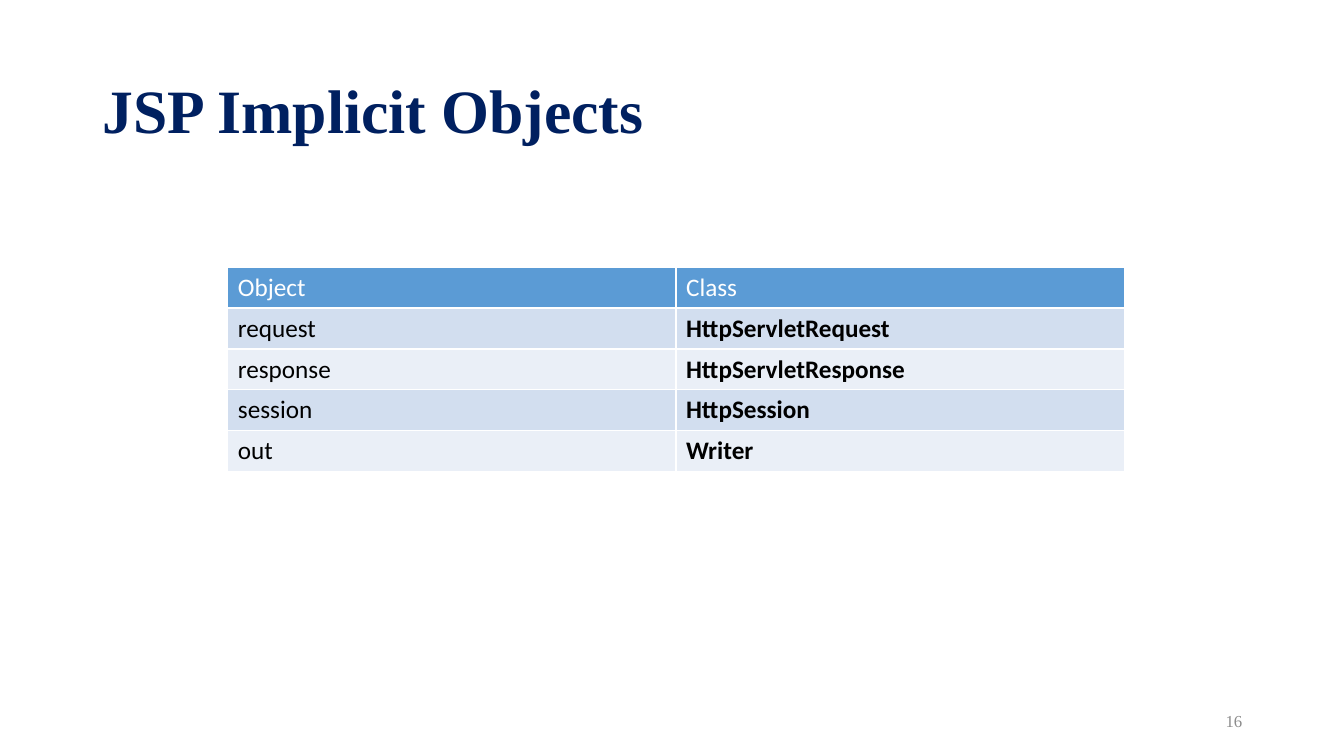
"""Build the JSP implicit objects slide."""
from pptx import Presentation
from pptx.dml.color import RGBColor
from pptx.enum.text import MSO_ANCHOR, PP_ALIGN
from pptx.util import Inches, Pt

SERIF = "Times New Roman"
ROWS = [
    ("Object", "Class"),
    ("request", "HttpServletRequest"),
    ("response", "HttpServletResponse"),
    ("session", "HttpSession"),
    ("out", "Writer"),
]


def style_font(font, name, size, color, bold=False):
    """Set the typeface, size, colour and weight of a font."""
    font.name = name
    font.size = Pt(size)
    font.bold = bold
    font.color.rgb = RGBColor.from_string(color)


def fill_title(slide, left, top, width, height):
    """Place and format the title placeholder."""
    title = slide.shapes.title
    title.left, title.top = Inches(left), Inches(top)
    title.width, title.height = Inches(width), Inches(height)
    frame = title.text_frame
    frame.text = "JSP Implicit Objects"
    frame.vertical_anchor = MSO_ANCHOR.MIDDLE
    paragraph = frame.paragraphs[0]
    paragraph.alignment = PP_ALIGN.LEFT
    paragraph.line_spacing = 0.9
    style_font(paragraph.font, SERIF, 44, "002060", True)


def add_object_table(slide, left, top, width, height):
    """Add the table that pairs each implicit object with its class."""
    table = slide.shapes.add_table(
        len(ROWS), len(ROWS[0]),
        Inches(left), Inches(top), Inches(width), Inches(height),
    ).table
    for row_index, row in enumerate(ROWS):
        is_header = row_index == 0
        band = "D2DEEF" if row_index % 2 else "EAEFF7"
        for column_index, text in enumerate(row):
            cell = table.cell(row_index, column_index)
            cell.text = text
            cell.fill.solid()
            cell.fill.fore_color.rgb = RGBColor.from_string("5B9BD5" if is_header else band)
            style_font(
                cell.text_frame.paragraphs[0].font, "Calibri", 18,
                "FFFFFF" if is_header else "000000",
                column_index == 1 and not is_header,
            )


def add_slide_number(slide, left, top, width, height):
    """Add the right-aligned slide number."""
    box = slide.shapes.add_textbox(Inches(left), Inches(top), Inches(width), Inches(height))
    frame = box.text_frame
    frame.word_wrap = True
    frame.vertical_anchor = MSO_ANCHOR.MIDDLE
    frame.text = "16"
    paragraph = frame.paragraphs[0]
    paragraph.alignment = PP_ALIGN.RIGHT
    style_font(paragraph.font, SERIF, 12, "8C8C8C")


def main():
    """Create the presentation and save it."""
    presentation = Presentation()
    presentation.slide_width = Inches(13.33)
    presentation.slide_height = Inches(7.5)
    slide = presentation.slides.add_slide(presentation.slide_layouts[5])
    fill_title(slide, 0.92, 0.4, 11.5, 1.45)
    add_object_table(slide, 2.26, 2.65, 8.89, 2.03)
    add_slide_number(slide, 9.42, 6.95, 3, 0.4)
    presentation.save("out.pptx")


if __name__ == "__main__":
    main()
